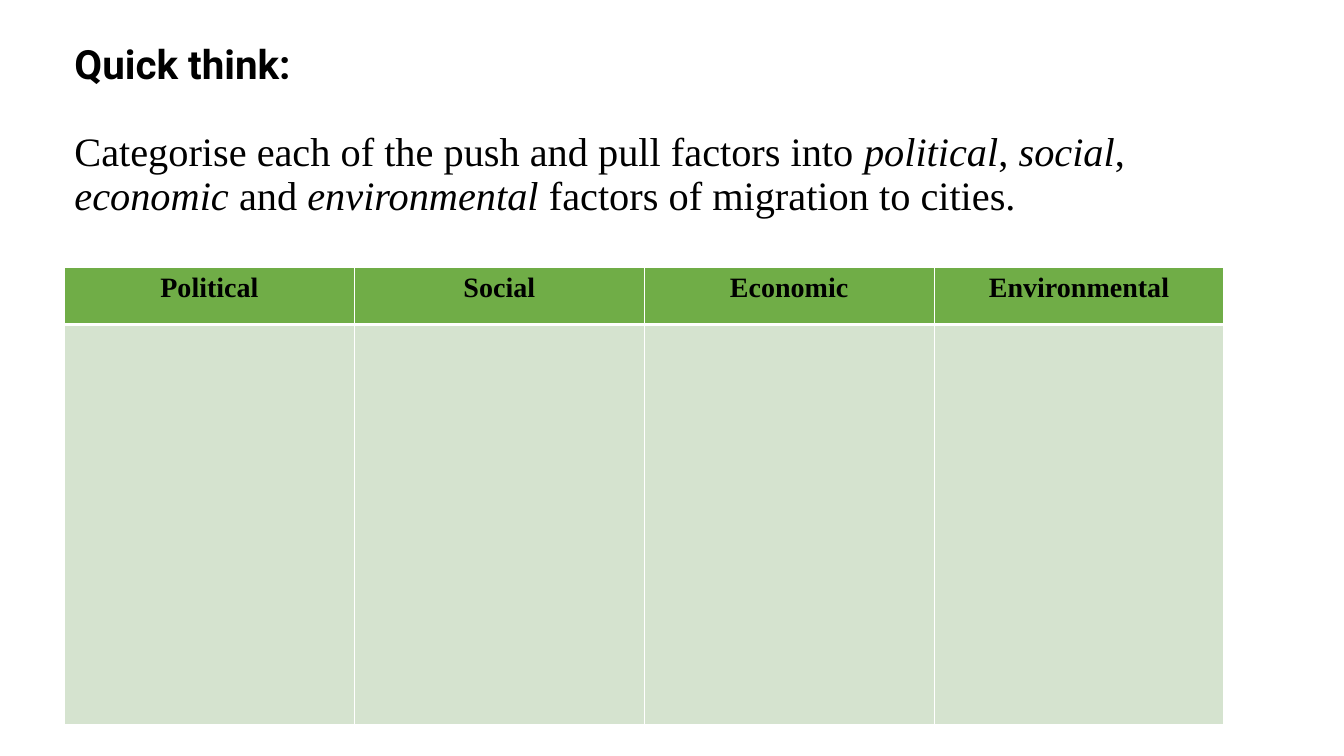
from lxml import etree
from pptx import Presentation
from pptx.dml.color import RGBColor
from pptx.enum.text import MSO_ANCHOR, PP_ALIGN
from pptx.oxml.ns import qn
from pptx.util import Inches, Pt

MIDDLE = MSO_ANCHOR.MIDDLE
CENTER = PP_ALIGN.CENTER

THEME = {
    "ink": RGBColor(0x00, 0x00, 0x00),
    "head": RGBColor(0x70, 0xAD, 0x47),
    "body": RGBColor(0xD5, 0xE3, 0xCF),
    "rule": "FFFFFF",
    "title": {"name": "Roboto", "size": Pt(28.8), "bold": True},
    "task": {"name": "Times New Roman", "size": Pt(28.8), "bold": False},
    "label": {"name": "Times New Roman", "size": Pt(20), "bold": True},
}


def add_run(para, text, style, italic=False):
    run = para.add_run()
    run.text = text
    for key, value in THEME[style].items():
        setattr(run.font, key, value)
    run.font.italic = italic
    run.font.color.rgb = THEME["ink"]


def add_rules(cell, widths):
    """Draw the cell's borders; widths maps a side (L, R, T, B) to points."""
    props = cell._tc.get_or_add_tcPr()
    for side, width in widths.items():
        line = etree.SubElement(props, qn(f"a:ln{side}"), w=str(Pt(width)))
        fill = etree.SubElement(line, qn("a:solidFill"))
        etree.SubElement(fill, qn("a:srgbClr"), val=THEME["rule"])


prs = Presentation()
prs.slide_width, prs.slide_height = Inches(13.33), Inches(7.5)
slide = prs.slides.add_slide(prs.slide_layouts[6])

# Heading and task
box = slide.shapes.add_textbox(Inches(0.64), Inches(0.31), Inches(11.56), Inches(2))
frame = box.text_frame
frame.word_wrap = True
frame.vertical_anchor = MIDDLE
title = frame.paragraphs[0]
task = frame.add_paragraph()
title.line_spacing = task.line_spacing = 0.9
task.space_before = Pt(31)
add_run(title, "Quick think:", "title")
for text, italic in [
    ("Categorise each of the push and pull factors into ", False),
    ("political", True),
    (", ", False),
    ("social", True),
    (", ", False),
    ("economic ", True),
    ("and ", False),
    ("environmental ", True),
    ("factors of migration to cities.", False),
]:
    add_run(task, text, "task", italic)

# Table of factors
labels = ["Political", "Social", "Economic", "Environmental"]
heights = [0.57, 3.97]
table = slide.shapes.add_table(
    len(heights), len(labels), Inches(0.64), Inches(2.65), Inches(11.5), Inches(sum(heights))
).table
for row, height in zip(table.rows, heights):
    row.height = Inches(height)

for col, label in enumerate(labels):
    head, body = table.cell(0, col), table.cell(1, col)
    add_rules(head, {"L": 1, "R": 1, "T": 1, "B": 3})
    add_rules(body, {"L": 1, "R": 1, "T": 3, "B": 1})
    for cell, tint in [(head, "head"), (body, "body")]:
        cell.fill.solid()
        cell.fill.fore_color.rgb = THEME[tint]
    para = head.text_frame.paragraphs[0]
    para.alignment = CENTER
    add_run(para, label, "label")

prs.save("out.pptx")
